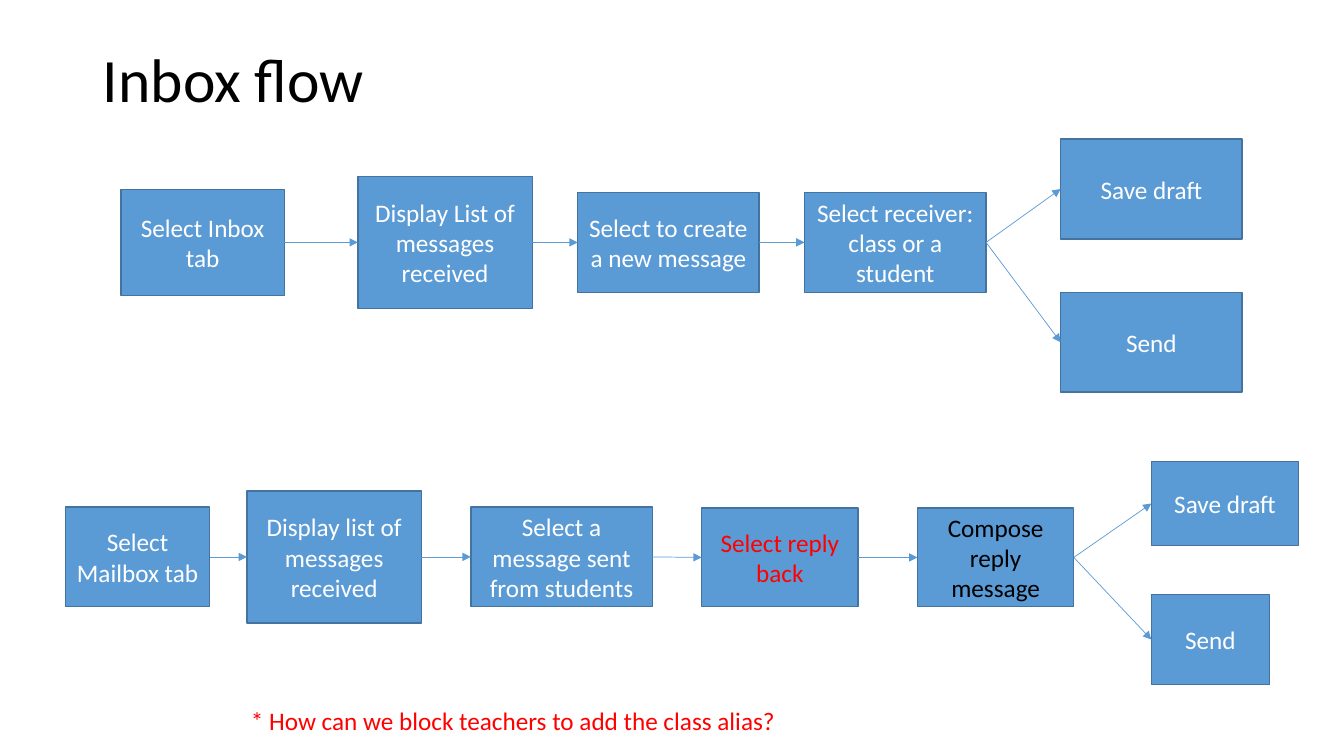
from lxml import etree
from pptx import Presentation
from pptx.dml.color import RGBColor
from pptx.enum.shapes import MSO_CONNECTOR, MSO_SHAPE
from pptx.enum.text import MSO_ANCHOR, MSO_AUTO_SIZE, PP_ALIGN
from pptx.oxml.ns import qn
from pptx.util import Inches, Pt

RECTANGLE = MSO_SHAPE.RECTANGLE
STRAIGHT = MSO_CONNECTOR.STRAIGHT
MIDDLE = MSO_ANCHOR.MIDDLE
TOP = MSO_ANCHOR.TOP
LEFT = PP_ALIGN.LEFT
CENTER = PP_ALIGN.CENTER
NO_AUTOFIT = MSO_AUTO_SIZE.NONE

BLUE, DARK_BLUE = "5B9BD5", "43739E"
WHITE, BLACK, RED = "FFFFFF", "000000", "FF0000"
LEFT_SITE, RIGHT_SITE = 1, 3


def color(hex_string):
    return RGBColor.from_string(hex_string)


def write(shape, text, size, text_color, alignment, anchor):
    frame = shape.text_frame
    frame.word_wrap = True
    frame.auto_size = NO_AUTOFIT
    frame.vertical_anchor = anchor
    paragraph = frame.paragraphs[0]
    paragraph.alignment = alignment
    run = paragraph.add_run()
    run.text = text
    run.font.name = "Calibri"
    run.font.size = Pt(size)
    run.font.color.rgb = color(text_color)
    return paragraph


presentation = Presentation()
presentation.slide_width = Inches(13.33)
presentation.slide_height = Inches(7.5)
slide = presentation.slides.add_slide(presentation.slide_layouts[5])

title = slide.shapes.title
title.left, title.top = Inches(0.92), Inches(0.4)
title.width, title.height = Inches(11.5), Inches(0.84)
write(title, "Inbox flow", 44, BLACK, LEFT, MIDDLE).line_spacing = 0.9

new_message_boxes = [
    ("Select Inbox tab", 1.2, 1.88, 1.62, 1.05, WHITE),
    ("Display List of messages received", 3.55, 1.75, 1.73, 1.31, WHITE),
    ("Select to create a new message", 5.73, 1.91, 1.8, 0.99, WHITE),
    ("Select receiver: class or a student", 7.98, 1.91, 1.8, 0.99, WHITE),
    ("Save draft", 10.52, 1.38, 1.8, 0.99, WHITE),
    ("Send", 10.52, 2.9, 1.8, 0.99, WHITE),
]
reply_boxes = [
    ("Select Mailbox tab", 0.65, 5.03, 1.43, 0.99, WHITE),
    ("Display list of messages received", 2.45, 4.87, 1.73, 1.31, WHITE),
    ("Select a message sent from students", 4.67, 5.03, 1.8, 0.99, WHITE),
    ("Select reply back", 6.96, 5.04, 1.55, 0.98, RED),
    ("Compose reply message", 9.1, 5.04, 1.55, 0.98, BLACK),
    ("Save draft", 11.42, 4.58, 1.46, 0.83, WHITE),
    ("Send", 11.42, 5.9, 1.17, 0.89, WHITE),
]

for flow in (new_message_boxes, reply_boxes):
    boxes = []
    for text, left, top, width, height, text_color in flow:
        box = slide.shapes.add_shape(
            RECTANGLE, Inches(left), Inches(top), Inches(width), Inches(height))
        box.shadow.inherit = False
        box.fill.solid()
        box.fill.fore_color.rgb = color(BLUE)
        box.line.color.rgb = color(DARK_BLUE)
        box.line.width = Pt(1)
        write(box, text, 18, text_color, CENTER, MIDDLE)
        boxes.append(box)

    *steps, save_draft, send = boxes
    links = list(zip(steps, steps[1:]))
    links += [(steps[-1], save_draft), (steps[-1], send)]
    for source, target in links:
        arrow = slide.shapes.add_connector(STRAIGHT, 0, 0, 0, 0)
        arrow.begin_connect(source, RIGHT_SITE)
        arrow.end_connect(target, LEFT_SITE)
        arrow.line.color.rgb = color(BLUE)
        arrow.line.width = Pt(0.5)
        line_element = arrow.line._get_or_add_ln()
        etree.SubElement(line_element, qn("a:tailEnd"), type="triangle")
        etree.SubElement(arrow._element.spPr, qn("a:effectLst"))

question = slide.shapes.add_textbox(
    Inches(2.39), Inches(6.95), Inches(5.52), Inches(0.4))
write(question, "* How can we block teachers to add the class alias?",
      18, RED, LEFT, TOP)

presentation.save("out.pptx")
